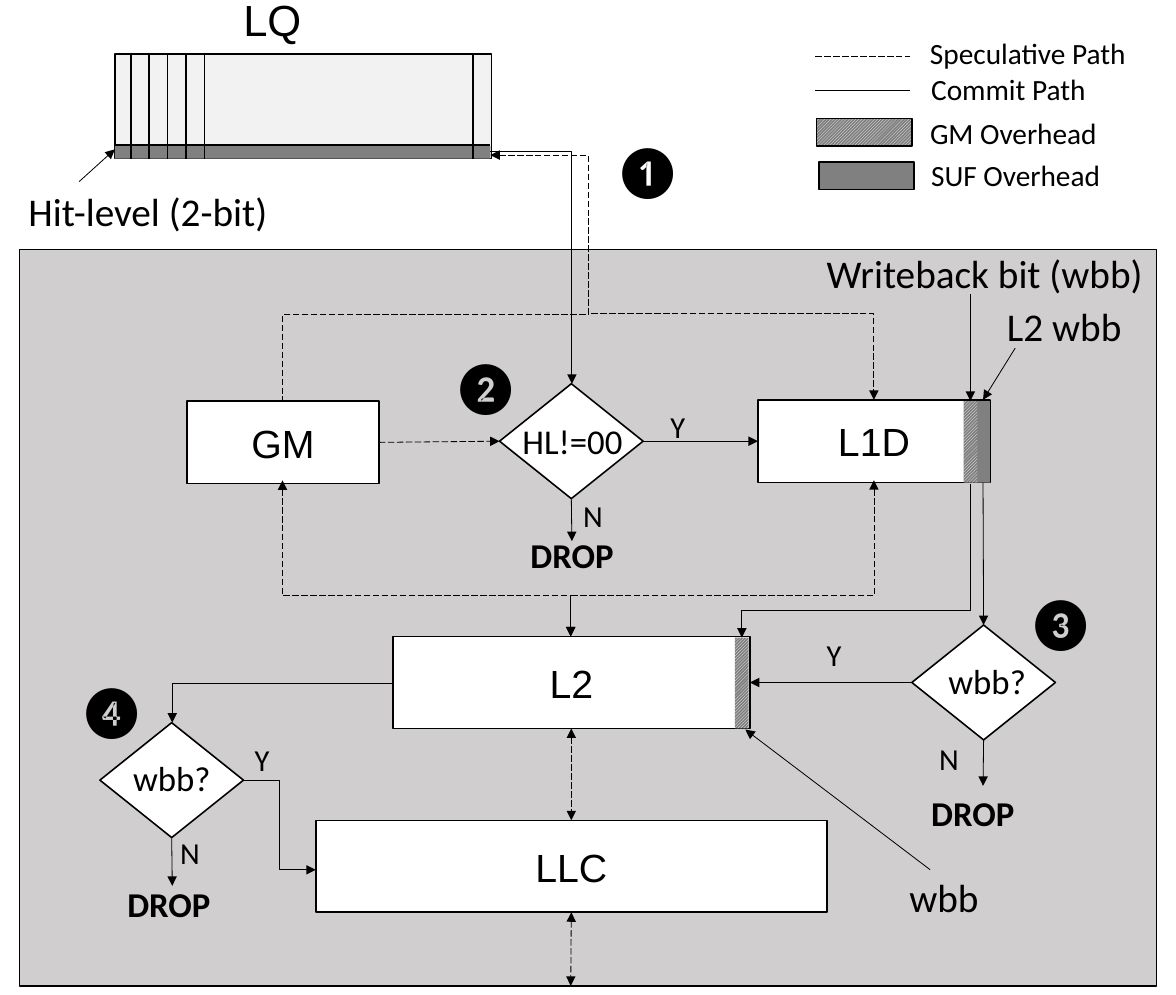
from dataclasses import dataclass

from lxml.etree import SubElement
from pptx import Presentation
from pptx.dml.color import RGBColor
from pptx.enum.dml import MSO_LINE, MSO_PATTERN
from pptx.enum.shapes import MSO_CONNECTOR as Link, MSO_SHAPE as Form
from pptx.enum.text import MSO_ANCHOR, MSO_AUTO_SIZE, PP_ALIGN
from pptx.oxml.ns import qn
from pptx.util import Cm, Pt


@dataclass(frozen=True)
class Theme:
    black: str = "000000"
    white: str = "FFFFFF"
    panel: str = "D0CECE"
    queue: str = "F2F2F2"
    overhead: str = "808080"
    block_font: str = "Arial"
    label_font: str = "Calibri"
    title: float = 27.3
    large: float = 24.6
    medium: float = 21.8
    branch: float = 19.1
    legend: float = 18.4
    step: float = 32.8
    border: float = 1
    wire: float = 0.5


THEME = Theme()
CM_PER_INCH = 2.54
TOP, LEFT, BOTTOM, RIGHT = range(4)
RECT, DIAMOND = Form.RECTANGLE, Form.DIAMOND

SHAPES = {
    "hierarchy": (RECT, (0.17, 2.17, 9.9, 6.41), THEME.panel, True, ""),
    "LLC": (RECT, (2.75, 7.14, 4.45, 0.8), THEME.white, True, "LLC"),
    "GM": (RECT, (1.63, 3.49, 1.67, 0.72), THEME.white, True, "GM"),
    "L2": (RECT, (3.42, 5.54, 3.11, 0.8), THEME.white, True, "L2"),
    "L1D": (RECT, (6.6, 3.48, 2.02, 0.72), THEME.white, True, "L1D"),
    "hit check": (DIAMOND, (4.35, 3.34, 1.25, 1), THEME.white, True, ""),
    "L1D check": (DIAMOND, (7.94, 5.44, 1.25, 1), THEME.white, True, ""),
    "L2 check": (DIAMOND, (0.87, 6.29, 1.25, 1), THEME.white, True, ""),
    "L1D SUF bit": (RECT, (8.5, 3.49, 0.12, 0.71), THEME.overhead, False, ""),
    "L1D GM bit": (RECT, (8.39, 3.49, 0.12, 0.71), "hatch", False, ""),
    "L2 GM bit": (RECT, (6.4, 5.55, 0.12, 0.79), "hatch", False, ""),
    "load queue": (RECT, (1, 0.47, 3.28, 0.91), THEME.queue, True, ""),
    "hit levels": (RECT, (1, 1.27, 3.27, 0.11), THEME.overhead, False, ""),
    "GM key": (RECT, (7.11, 1.03, 0.83, 0.24), "hatch", True, ""),
    "SUF key": (RECT, (7.13, 1.41, 0.83, 0.24), THEME.overhead, True, ""),
}

QUEUE_SLOTS = [1.14 + 0.16 * slot for slot in range(5)] + [4.12]
QUEUE_TOP, QUEUE_BOTTOM = 0.47, 1.38
QUEUE_LINES = [((1, 1.26), (4.27, 1.26))] + [
    ((x, QUEUE_BOTTOM), (x, QUEUE_TOP)) for x in QUEUE_SLOTS
]

STRAIGHT = [
    ((0.69, 1.58), (1, 1.3), "end", False),
    (("L2", BOTTOM), ("LLC", TOP), "both", True),
    (("LLC", BOTTOM), (4.97, 8.58), "both", True),
    (("GM", RIGHT), ("hit check", LEFT), "end", True),
    (("hit check", RIGHT), ("L1D", LEFT), "end", False),
    (("hit check", BOTTOM), (4.98, 4.71), "end", False),
    (("L1D check", LEFT), ("L2", RIGHT), "end", False),
    (("L1D check", BOTTOM), (8.56, 6.84), "end", False),
    (("L2 check", BOTTOM), (1.5, 7.71), "end", False),
    ((8.56, 4.2), ("L1D check", TOP), "end", False),
    ((8.84, 3.03), (8.56, 3.48), "end", False),
    ((8.1, 7.57), (6.49, 6.35), "end", False),
    ((8.45, 2.56), (8.45, 3.49), "end", False),
    ((7.1, 0.49), (7.92, 0.49), "", True),
    ((7.1, 0.79), (7.92, 0.79), "", False),
]

BENT = [
    ((4.27, 1.35), (2.46, 3.49), "begin", True, "across", 4, (-0.47, 0.65)),
    ((5.15, 2.73), (7.61, 3.48), "end", True, "across", 2, ()),
    ((7.61, 4.18), (4.97, 5.54), "both", True, "down", 3, (0.74,)),
    ((2.46, 4.18), (4.97, 5.54), "both", True, "down", 3, (0.74,)),
    ((3.42, 5.95), (1.5, 6.29), "end", False, "across", 2, ()),
    ((2.11, 6.79), (2.75, 7.57), "end", False, "across", 3, (0.5,)),
    ((4.27, 1.32), (4.98, 3.34), "end", False, "across", 2, ()),
    ((8.45, 4.21), (6.46, 5.55), "end", False, "down", 3, (0.82,)),
]

LABELS = [
    (THEME.large, [
        ("Hit-level (2-bit)", (0.15, 1.58, 2.54, 0.53)),
        ("Writeback bit (wbb)", (7.1, 2.12, 2.97, 0.51)),
        ("L2 wbb", (8.67, 2.58, 1.25, 0.51)),
        ("wbb", (7.82, 7.55, 1.67, 0.53)),
    ]),
    (THEME.medium, [
        ("HL!=00", (4.45, 3.6, 1.32, 0.48)),
        ("wbb?", (8.16, 5.69, 0.96, 0.48)),
        ("wbb?", (1.06, 6.54, 1.01, 0.48)),
        ("DROP", (4.52, 4.6, 1.19, 0.48)),
        ("DROP", (8.01, 6.84, 1.1, 0.48)),
        ("DROP", (1.01, 7.63, 1.19, 0.48)),
    ]),
    (THEME.branch, [
        ("Y", (5.74, 3.5, 0.57, 0.43)),
        ("Y", (7.1, 5.49, 0.57, 0.43)),
        ("Y", (2.12, 6.4, 0.57, 0.43)),
        ("N", (4.98, 4.28, 0.56, 0.43)),
        ("N", (8.08, 6.39, 0.4, 0.43)),
        ("N", (1.47, 7.21, 0.57, 0.43)),
    ]),
    (THEME.legend, [
        ("Speculative Path", (8, 0.26, 1.93, 0.41)),
        ("Commit Path", (8.01, 0.57, 1.71, 0.42)),
        ("GM Overhead", (8, 0.95, 1.71, 0.42)),
        ("SUF Overhead", (8.01, 1.32, 1.71, 0.41)),
    ]),
    (THEME.step, [
        ("❶", (5.24, 1.15, 0.83, 0.67)),
        ("❷", (3.83, 3.03, 0.83, 0.67)),
        ("❸", (8.84, 5.09, 0.83, 0.67)),
        ("❹", (0.58, 5.85, 0.83, 0.67)),
    ]),
]


def inch(value):
    return Cm(value * CM_PER_INCH)


def color(value):
    return RGBColor.from_string(value)


def write(box, text, size, font=THEME.label_font, bold=False, align=PP_ALIGN.LEFT):
    para = box.text_frame.paragraphs[0]
    para.alignment = align
    span = para.add_run()
    span.text = text
    span.font.name, span.font.size, span.font.bold = font, Pt(size), bold
    span.font.color.rgb = color(THEME.black)


def add_label(page, text, frame, size, wrap=True, **style):
    box = page.shapes.add_textbox(*map(inch, frame))
    box.text_frame.word_wrap = wrap
    box.text_frame.auto_size = MSO_AUTO_SIZE.SHAPE_TO_FIT_TEXT
    write(box, text, size, **style)


def add_block(page, form, frame, fill, outlined, text):
    box = page.shapes.add_shape(form, *map(inch, frame))
    box.shadow.inherit = False
    if fill == "hatch":
        box.fill.patterned()
        box.fill.pattern = MSO_PATTERN.DARK_UPWARD_DIAGONAL
        box.fill.fore_color.rgb = color(THEME.white)
        box.fill.back_color.rgb = color(THEME.overhead)
    else:
        box.fill.solid()
        box.fill.fore_color.rgb = color(fill)
    if outlined:
        box.line.color.rgb = color(THEME.black)
        box.line.width = Pt(THEME.border)
    else:
        box.line.fill.background()
    if text:
        box.text_frame.vertical_anchor = MSO_ANCHOR.MIDDLE
        write(box, text, THEME.large, font=THEME.block_font, align=PP_ALIGN.CENTER)
    return box


def add_wire(page, start, end, heads="", dashed=False, width=THEME.wire, kind=Link.STRAIGHT):
    wire = page.shapes.add_connector(kind, *map(inch, start + end))
    wire.line.color.rgb = color(THEME.black)
    wire.line.width = Pt(width)
    if dashed:
        wire.line.dash_style = MSO_LINE.LONG_DASH
    properties = wire._element.spPr
    outline = properties.find(qn("a:ln"))
    for tag, uses in (("a:headEnd", ("begin", "both")), ("a:tailEnd", ("end", "both"))):
        if heads in uses:
            SubElement(outline, qn(tag), type="triangle")
    SubElement(properties, qn("a:effectLst"))
    return wire


def locate(place):
    if place[0] not in SHAPES:
        return place
    name, side = place
    left, top, width, height = SHAPES[name][1]
    across, down = ((0.5, 0), (0, 0.5), (0.5, 1), (1, 0.5))[side]
    return left + width * across, top + height * down


def add_straight(page, blocks, start, end, heads, dashed):
    wire = add_wire(page, locate(start), locate(end), heads, dashed)
    for place, join in ((start, wire.begin_connect), (end, wire.end_connect)):
        if place[0] in blocks:
            join(blocks[place[0]], place[1])


def add_bent(page, start, end, heads, dashed, direction, segments, bends):
    wire = add_wire(page, start, end, heads, dashed, kind=Link.ELBOW)
    properties = wire._element.spPr
    geometry = properties.find(qn("a:prstGeom"))
    geometry.set("prst", f"bentConnector{segments}")
    guides = geometry.find(qn("a:avLst"))
    for number, bend in enumerate(bends, 1):
        SubElement(guides, qn("a:gd"), name=f"adj{number}", fmla=f"val {round(bend * 100000)}")
    if direction == "down":
        (x1, y1), (x2, y2) = start, end
        width, height = abs(y2 - y1), abs(x2 - x1)
        wire.left, wire.top = inch((x1 + x2 - width) / 2), inch((y1 + y2 - height) / 2)
        wire.width, wire.height = inch(width), inch(height)
        frame = properties.find(qn("a:xfrm"))
        frame.set("rot", "5400000")
        frame.set("flipH", str(int(y2 < y1)))
        frame.set("flipV", str(int(x2 > x1)))


def main():
    deck = Presentation()
    deck.slide_width, deck.slide_height = inch(10.24), inch(8.66)
    page = deck.slides.add_slide(deck.slide_layouts[6])
    blocks = {name: add_block(page, *details) for name, details in SHAPES.items()}
    for start, end in QUEUE_LINES:
        add_wire(page, start, end, width=THEME.border)
    for details in STRAIGHT:
        add_straight(page, blocks, *details)
    for details in BENT:
        add_bent(page, *details)
    for size, entries in LABELS:
        for text, frame in entries:
            add_label(page, text, frame, size, wrap=size != THEME.step, bold=text == "DROP")
    add_label(page, "LQ", (2.02, -0.11, 0.71, 0.56), THEME.title, wrap=False, font=THEME.block_font)
    deck.save("out.pptx")


if __name__ == "__main__":
    main()
